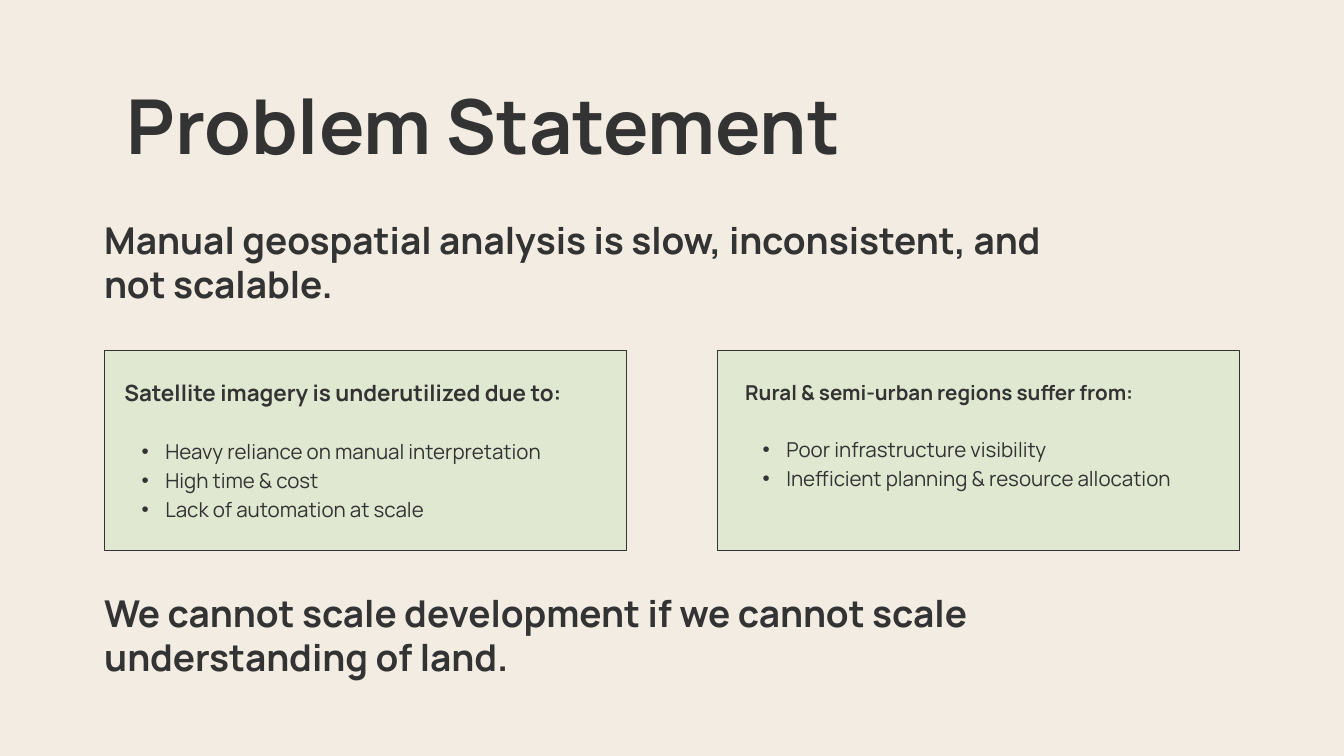
from dataclasses import dataclass

from lxml.etree import SubElement
from pptx import Presentation
from pptx.dml.color import RGBColor as Rgb
from pptx.enum.shapes import MSO_SHAPE as Shape
from pptx.enum.text import MSO_ANCHOR as Anchor, MSO_AUTO_SIZE as Fit, PP_ALIGN as Align
from pptx.oxml.ns import qn
from pptx.util import Pt


@dataclass(frozen=True)
class Theme:
    font: str = "Manrope"
    ink: Rgb = Rgb(0x33, 0x33, 0x33)
    paper: Rgb = Rgb(0xF2, 0xEC, 0xE2)
    card: Rgb = Rgb(0xE0, 0xE8, 0xD1)
    title: float = 81.1
    claim: float = 39.6
    head: float = 24
    item: float = 22


THEME = Theme()
LEFT = 111.6
CARD_TOP, CARD_WIDE, CARD_HIGH = 375.8, 559.4, 213.8
CARD_STEP = 657.4
ITEM_LINE = 30.8
CARDS = [
    (21.6, 401.8, THEME.head, 33.6, "Satellite imagery is underutilized due to:",
     ["Heavy reliance on manual interpretation", "High time & cost",
      "Lack of automation at scale"]),
    (29.5, 402.5, THEME.item, ITEM_LINE, "Rural & semi-urban regions suffer from:",
     ["Poor infrastructure visibility",
      "Inefficient planning & resource allocation"]),
]


def place(shape, left, top, wide, high):
    shape.left, shape.top = Pt(left), Pt(top)
    shape.width, shape.height = Pt(wide), Pt(high)


def set_frame(frame):
    frame.word_wrap = True
    frame.auto_size = Fit.NONE
    frame.vertical_anchor = Anchor.TOP
    frame.margin_left = frame.margin_right = Pt(0)
    frame.margin_top = frame.margin_bottom = Pt(0)


def add_frame(slide, left, top, wide, high):
    frame = slide.shapes.add_textbox(Pt(left), Pt(top), Pt(wide), Pt(high)).text_frame
    set_frame(frame)
    return frame


def write(para, text, size, line, bold=True, align=Align.LEFT):
    para.alignment = align
    para.line_spacing = Pt(line)
    run = para.add_run()
    run.text = text
    run.font.name = THEME.font
    run.font.size = Pt(size)
    run.font.bold = bold
    run.font.color.rgb = THEME.ink


def add_bullet(para):
    props = para._p.get_or_add_pPr()
    props.set("marL", str(Pt(44)))
    props.set("indent", str(-Pt(25.3)))
    SubElement(props, qn("a:buFont")).set("typeface", "Arial")
    SubElement(props, qn("a:buChar")).set("char", "•")


def add_title(slide, text):
    title = slide.shapes.title
    place(title, 54, 98.6, 928, 92.2)
    set_frame(title.text_frame)
    write(title.text_frame.paragraphs[0], text, THEME.title, 82.7, align=Align.CENTER)


def add_claim(slide, top, text):
    frame = add_frame(slide, LEFT, top, 1074.2, 96.5)
    write(frame.paragraphs[0], text, THEME.claim, 47.1)


def add_card(slide, left, inset, top, size, line, head, items):
    card = slide.shapes.add_shape(Shape.RECTANGLE, Pt(left), Pt(CARD_TOP),
                                  Pt(CARD_WIDE), Pt(CARD_HIGH))
    card.shadow.inherit = False
    card.fill.solid()
    card.fill.fore_color.rgb = THEME.card
    card.line.color.rgb = THEME.ink
    card.line.width = Pt(0.75)
    frame = add_frame(slide, left + inset, top, 515, line + ITEM_LINE * (len(items) + 1))
    write(frame.paragraphs[0], head, size, line)
    for i, item in enumerate(items):
        para = frame.add_paragraph()
        add_bullet(para)
        if i == 0:
            para.space_before = Pt(ITEM_LINE)
        write(para, item, THEME.item, ITEM_LINE, bold=False)


def main():
    deck = Presentation()
    deck.slide_width, deck.slide_height = Pt(1440), Pt(810)
    slide = deck.slides.add_slide(deck.slide_layouts.get_by_name("Title Only"))
    slide.background.fill.solid()
    slide.background.fill.fore_color.rgb = THEME.paper
    add_title(slide, "Problem Statement")
    add_claim(slide, 233.3,
              "Manual geospatial analysis is slow, inconsistent, and not scalable.")
    for i, card in enumerate(CARDS):
        add_card(slide, LEFT + i * CARD_STEP, *card)
    add_claim(slide, 632.9,
              "We cannot scale development if we cannot scale understanding of land.")
    deck.save("out.pptx")


if __name__ == "__main__":
    main()
